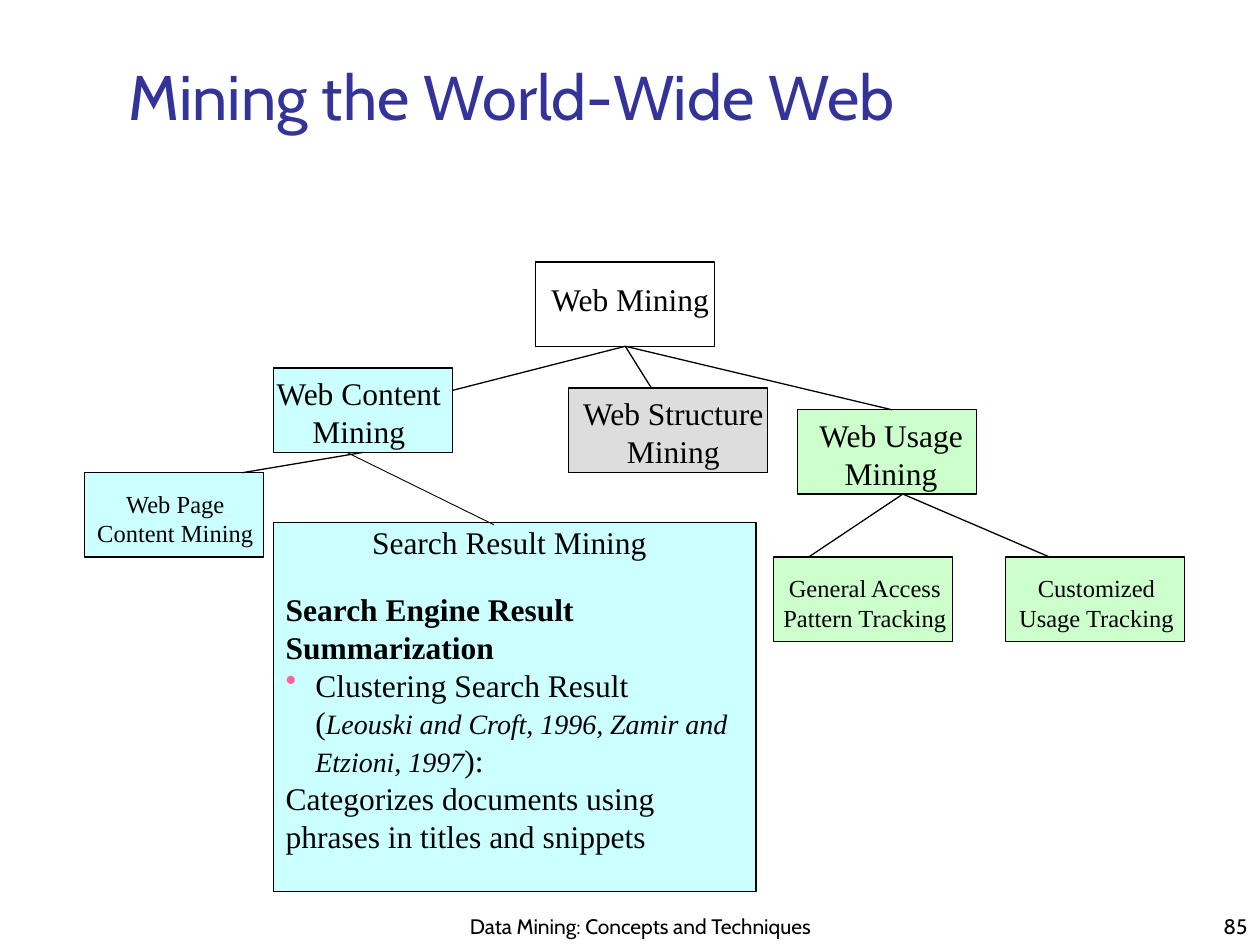
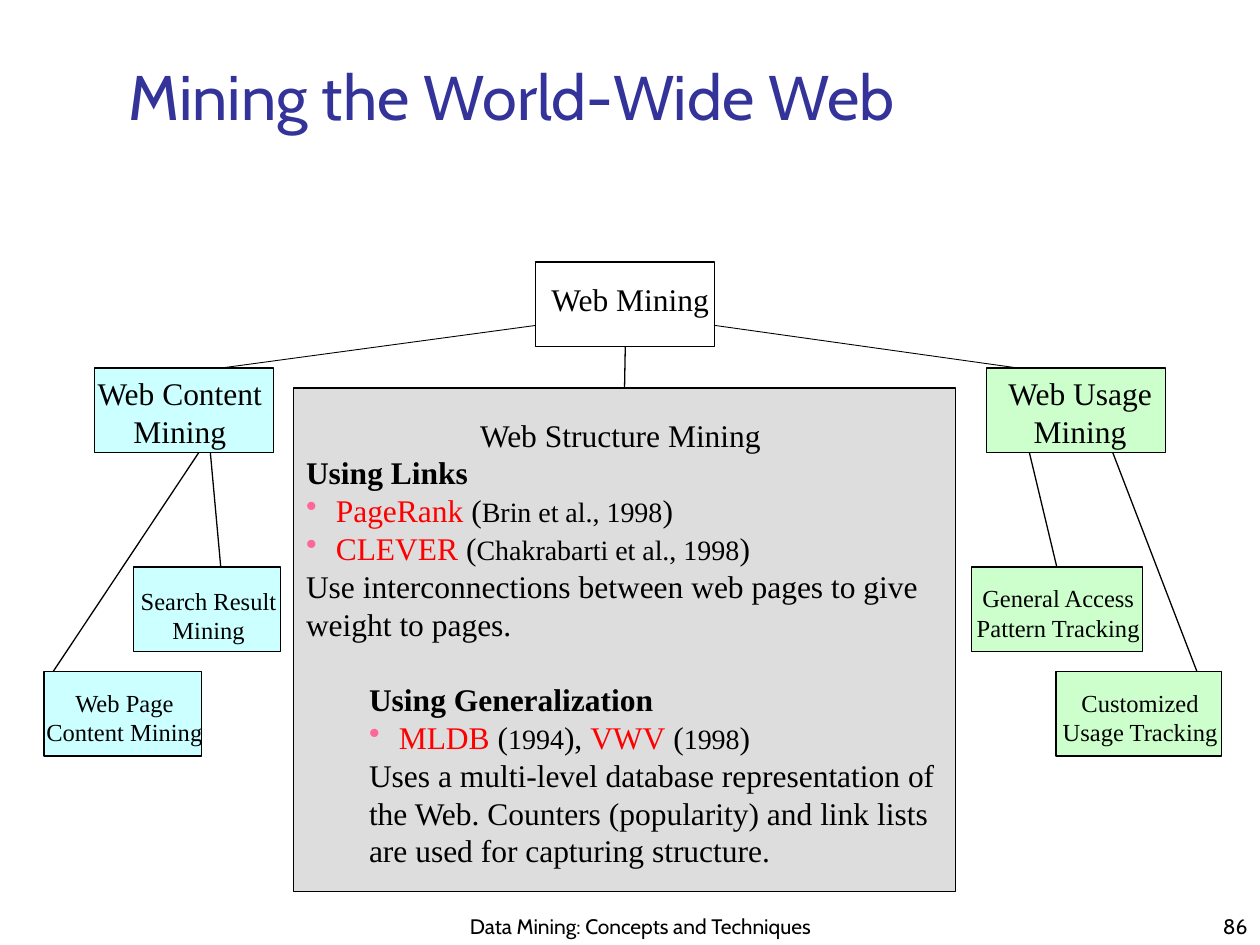
from dataclasses import dataclass, field
from typing import NamedTuple, Optional, Union

import lxml.etree
import pptx
import pptx.dml.color
import pptx.enum.shapes
import pptx.enum.text
import pptx.oxml.ns
import pptx.presentation
import pptx.shapes.autoshape
import pptx.slide
import pptx.text.text
import pptx.util

Cm = pptx.util.Cm
Pt = pptx.util.Pt
RGBColor = pptx.dml.color.RGBColor
Align = pptx.enum.text.PP_ALIGN
Anchor = pptx.enum.text.MSO_ANCHOR

# Shared style
BLACK = RGBColor(0x00, 0x00, 0x00)
RED = RGBColor(0xFF, 0x00, 0x00)
PINK = RGBColor(0xFF, 0x66, 0x99)
TITLE_BLUE = RGBColor(0x33, 0x33, 0x99)
CONTENT_CYAN = RGBColor(0xCC, 0xFF, 0xFF)
STRUCTURE_GRAY = RGBColor(0xDD, 0xDD, 0xDD)
USAGE_GREEN = RGBColor(0xCC, 0xFF, 0xCC)
HEADING_FONT = "Cabin"
BODY_FONT = "Times New Roman"
TITLE = "Mining the World-Wide Web"
FOOTER = "Data Mining: Concepts and Techniques"
FIRST_NUMBER = 85
LINE_PITCH = 1.2
BULLET_INDENT = 0.6
BOX_WIDTH, BOX_HEIGHT = 3.61, 1.7
TOP, BOTTOM = 0, 2


class Span(NamedTuple):
    text: str
    color: RGBColor = BLACK
    size: float = 18
    bold: bool = False
    italic: bool = False


class Para(NamedTuple):
    spans: list[Span]
    align: Align = Align.LEFT
    bullet: bool = False
    indent: float = 0
    before: float = 0


@dataclass
class Node:
    """A box of the tree; lengths in centimetres."""
    name: str
    left: float
    top: float
    fill: Optional[RGBColor]
    paras: list[Para]
    width: float = BOX_WIDTH
    height: float = BOX_HEIGHT
    inset_top: float = 0.13
    inset_left: float = 0
    inset_right: float = 0
    wrap: bool = False


class Side(NamedTuple):
    name: str
    site: int


class Point(NamedTuple):
    x: float
    y: float


class Link(NamedTuple):
    start: Union[Side, Point]
    end: Union[Side, Point]
    width: float = 0.75


@dataclass
class Tree:
    nodes: list[Node]
    links: list[Link] = field(default_factory=list)


# Node builders
def small_box(name: str, left: float, top: float, fill: Optional[RGBColor], lines: list[str],
              size: float, inset_top: float, shift: float, width: float) -> Node:
    paras = [Para([Span(line, size=size)], Align.CENTER) for line in lines]
    return Node(name, left, top, fill, paras, width, inset_top=inset_top,
                inset_left=max(0, 2 * shift), inset_right=max(0, -2 * shift))


def branch(name: str, left: float, top: float, fill: Optional[RGBColor], lines: list[str],
           shift: float = 0.08, inset_top: float = 0.13, width: float = BOX_WIDTH) -> Node:
    return small_box(name, left, top, fill, lines, 18, inset_top, shift, width)


def leaf(name: str, left: float, top: float, fill: RGBColor, lines: list[str],
         width: float = BOX_WIDTH, inset_top: float = 0.33) -> Node:
    return small_box(name, left, top, fill, lines, 14, inset_top, 0.03, width)


def root() -> Node:
    return branch("root", 10.8, 5.28, None, ["Web Mining"], 0.1, 0.36)


def content_branch(left: float) -> Node:
    return branch("content", left, 7.42, CONTENT_CYAN, ["Web Content", "Mining"], -0.08)


def usage_branch(left: float, top: float) -> Node:
    return branch("usage", left, top, USAGE_GREEN, ["Web Usage", "Mining"])


PAGE_LINES = ["Web Page", "Content Mining"]
ACCESS_LINES = ["General Access", "Pattern Tracking"]
CUSTOM_LINES = ["Customized", "Usage Tracking"]

# Detail texts
SEARCH_DETAIL = [
    Para([Span("Search Result Mining")], Align.CENTER),
    Para([Span("Search Engine Result Summarization", bold=True)], before=16.8),
    Para([Span("Clustering Search Result ("),
          Span("Leouski and Croft, 1996, Zamir and Etzioni, 1997", size=16, italic=True),
          Span("):")], bullet=True),
    Para([Span("Categorizes documents using phrases in titles and snippets")]),
]


def cited(system: str, source: str, closing: str = ")") -> list[Span]:
    return [Span(system, RED), Span(" ("), Span(source, size=16), Span(closing)]


STRUCTURE_DETAIL = [
    Para([Span("Web Structure Mining ")], Align.CENTER),
    Para([Span("Using Links", bold=True)]),
    Para(cited("PageRank", "Brin et al., 1998"), bullet=True),
    Para(cited("CLEVER", "Chakrabarti et al., 1998"), bullet=True),
    Para([Span("Use interconnections between web pages to give weight to pages.")]),
    Para([Span("Using Generalization", bold=True)], indent=1.27, before=21.6),
    Para(cited("MLDB", "1994", "), ") + cited("VWV", "1998"), bullet=True, indent=1.27),
    Para([Span("Uses a multi-level database representation of the Web. Counters (popularity) "
               "and link lists are used for capturing structure.")], indent=1.27),
]

# The two trees
SEARCH_TREE = Tree(
    [root(),
     usage_branch(16.08, 8.26),
     leaf("access", 15.6, 11.23, USAGE_GREEN, ACCESS_LINES),
     leaf("custom", 20.27, 11.23, USAGE_GREEN, CUSTOM_LINES),
     branch("structure", 11.46, 7.82, STRUCTURE_GRAY, ["Web Structure", "Mining"],
            0.11, width=4.01),
     content_branch(5.51),
     leaf("page", 1.7, 9.53, CONTENT_CYAN, PAGE_LINES),
     Node("search", 5.51, 10.54, CONTENT_CYAN, SEARCH_DETAIL, 9.73, 7.44,
          0, 0.25, 0.46, True)],
    [Link(Side("root", BOTTOM), Point(17.98, 8.26)),
     Link(Side("root", BOTTOM), Point(13.13, 7.82)),
     Link(Side("root", BOTTOM), Point(9.12, 7.87)),
     Link(Point(18.2, 9.96), Point(16.3, 11.23)),
     Link(Point(18.2, 9.96), Point(21.16, 11.23)),
     Link(Side("content", BOTTOM), Point(4.88, 9.53)),
     Link(Point(6.99, 9.12), Point(9.96, 10.58), 0.5)])

STRUCTURE_TREE = Tree(
    [root(),
     Node("structure", 5.92, 7.82, STRUCTURE_GRAY, STRUCTURE_DETAIL, 13.34, 10.16,
          0.56, 0.25, 0.25, True),
     content_branch(1.9),
     leaf("search", 2.69, 11.43, CONTENT_CYAN, ["Search Result", "Mining"], 2.97, 0.38),
     leaf("page", 0.89, 13.54, CONTENT_CYAN, PAGE_LINES, 3.18),
     usage_branch(19.89, 7.42),
     leaf("access", 19.58, 11.43, USAGE_GREEN, ACCESS_LINES, 3.45),
     leaf("custom", 21.29, 13.54, USAGE_GREEN, CUSTOM_LINES, 3.33)],
    [Link(Side("root", BOTTOM), Side("structure", TOP)),
     Link(Point(4.24, 9.12), Point(4.45, 11.43)),
     Link(Point(4.01, 9.12), Point(1.07, 13.54)),
     Link(Point(20.75, 9.12), Side("access", TOP)),
     Link(Point(22.43, 9.12), Point(24.13, 13.54)),
     Link(Point(14.41, 6.56), Point(20.53, 7.42), 0.5),
     Link(Point(10.8, 6.56), Point(4.45, 7.42), 0.5)])


# Drawing
def apply_format(target: object, values: dict[str, object]) -> None:
    for attribute, value in values.items():
        setattr(target, attribute, value)


def add_bullet(para: pptx.text.text._Paragraph) -> None:
    properties = para._p.get_or_add_pPr()
    qn = pptx.oxml.ns.qn
    color = lxml.etree.SubElement(properties, qn("a:buClr"))
    lxml.etree.SubElement(color, qn("a:srgbClr")).set("val", str(PINK))
    lxml.etree.SubElement(properties, qn("a:buChar")).set("char", "•")


def write_span(para: pptx.text.text._Paragraph, span: Span, font_name: str) -> None:
    run = para.add_run()
    run.text = span.text
    apply_format(run.font, {"name": font_name, "size": Pt(span.size),
                            "bold": span.bold, "italic": span.italic})
    run.font.color.rgb = span.color


def write_paras(frame: pptx.text.text.TextFrame, paras: list[Para]) -> None:
    for index, item in enumerate(paras):
        para = frame.add_paragraph() if index else frame.paragraphs[0]
        pitch = max(span.size for span in item.spans) * LINE_PITCH
        apply_format(para, {"alignment": item.align, "line_spacing": Pt(pitch),
                            "space_before": Pt(item.before)})
        hanging = BULLET_INDENT if item.bullet else 0
        properties = para._p.get_or_add_pPr()
        properties.set("marL", str(Cm(item.indent + hanging)))
        properties.set("indent", str(-Cm(hanging)))
        if item.bullet:
            add_bullet(para)
        for span in item.spans:
            write_span(para, span, BODY_FONT)


def draw_node(page: pptx.slide.Slide, node: Node) -> pptx.shapes.autoshape.Shape:
    box = page.shapes.add_shape(pptx.enum.shapes.MSO_SHAPE.RECTANGLE, Cm(node.left),
                                Cm(node.top), Cm(node.width), Cm(node.height))
    box.shadow.inherit = False
    if node.fill is None:
        box.fill.background()
    else:
        box.fill.solid()
        box.fill.fore_color.rgb = node.fill
    box.line.color.rgb = BLACK
    box.line.width = Pt(0.75)
    apply_format(box.text_frame, {
        "word_wrap": node.wrap, "vertical_anchor": Anchor.TOP,
        "margin_top": Cm(node.inset_top), "margin_bottom": 0,
        "margin_left": Cm(node.inset_left), "margin_right": Cm(node.inset_right)})
    write_paras(box.text_frame, node.paras)
    return box


def draw_link(page: pptx.slide.Slide, link: Link,
              boxes: dict[str, pptx.shapes.autoshape.Shape]) -> None:
    ends = [end if isinstance(end, Point) else Point(0, 0) for end in (link.start, link.end)]
    line = page.shapes.add_connector(pptx.enum.shapes.MSO_CONNECTOR.STRAIGHT,
                                     *(Cm(value) for end in ends for value in end))
    for end, join in ((link.start, line.begin_connect), (link.end, line.end_connect)):
        if isinstance(end, Side):
            join(boxes[end.name], end.site)
    line.line.color.rgb = BLACK
    line.line.width = Pt(link.width)
    lxml.etree.SubElement(line._element.spPr, pptx.oxml.ns.qn("a:effectLst"))


def draw_title(page: pptx.slide.Slide) -> None:
    title = page.shapes.title
    apply_format(title, {"left": Cm(2.34), "top": Cm(1.07), "width": Cm(21.64),
                         "height": Cm(1.7)})
    apply_format(title.text_frame, {"vertical_anchor": Anchor.MIDDLE, "word_wrap": True})
    para = title.text_frame.paragraphs[0]
    para.alignment = Align.LEFT
    write_span(para, Span(TITLE, TITLE_BLUE, 36), HEADING_FONT)


def draw_footer(page: pptx.slide.Slide, text: str, left: float, top: float,
                width: float, height: float, align: Align) -> None:
    box = page.shapes.add_textbox(Cm(left), Cm(top), Cm(width), Cm(height))
    apply_format(box.text_frame, {"vertical_anchor": Anchor.BOTTOM, "word_wrap": True})
    para = box.text_frame.paragraphs[0]
    para.alignment = align
    write_span(para, Span(text, size=12), HEADING_FONT)


def draw_page(deck: pptx.presentation.Presentation, tree: Tree, number: int) -> None:
    page = deck.slides.add_slide(deck.slide_layouts.get_by_name("Title Only"))
    draw_title(page)
    boxes = {node.name: draw_node(page, node) for node in tree.nodes}
    for link in tree.links:
        draw_link(page, link, boxes)
    draw_footer(page, FOOTER, 8.89, 17.58, 8.05, 1.47, Align.CENTER)
    draw_footer(page, str(number), 20.12, 17.78, 5.28, 1.27, Align.RIGHT)


def main() -> None:
    deck = pptx.Presentation()
    deck.slide_width, deck.slide_height = Cm(25.4), Cm(19.05)
    for number, tree in enumerate((SEARCH_TREE, STRUCTURE_TREE), FIRST_NUMBER):
        draw_page(deck, tree, number)
    deck.save("out.pptx")


if __name__ == "__main__":
    main()
